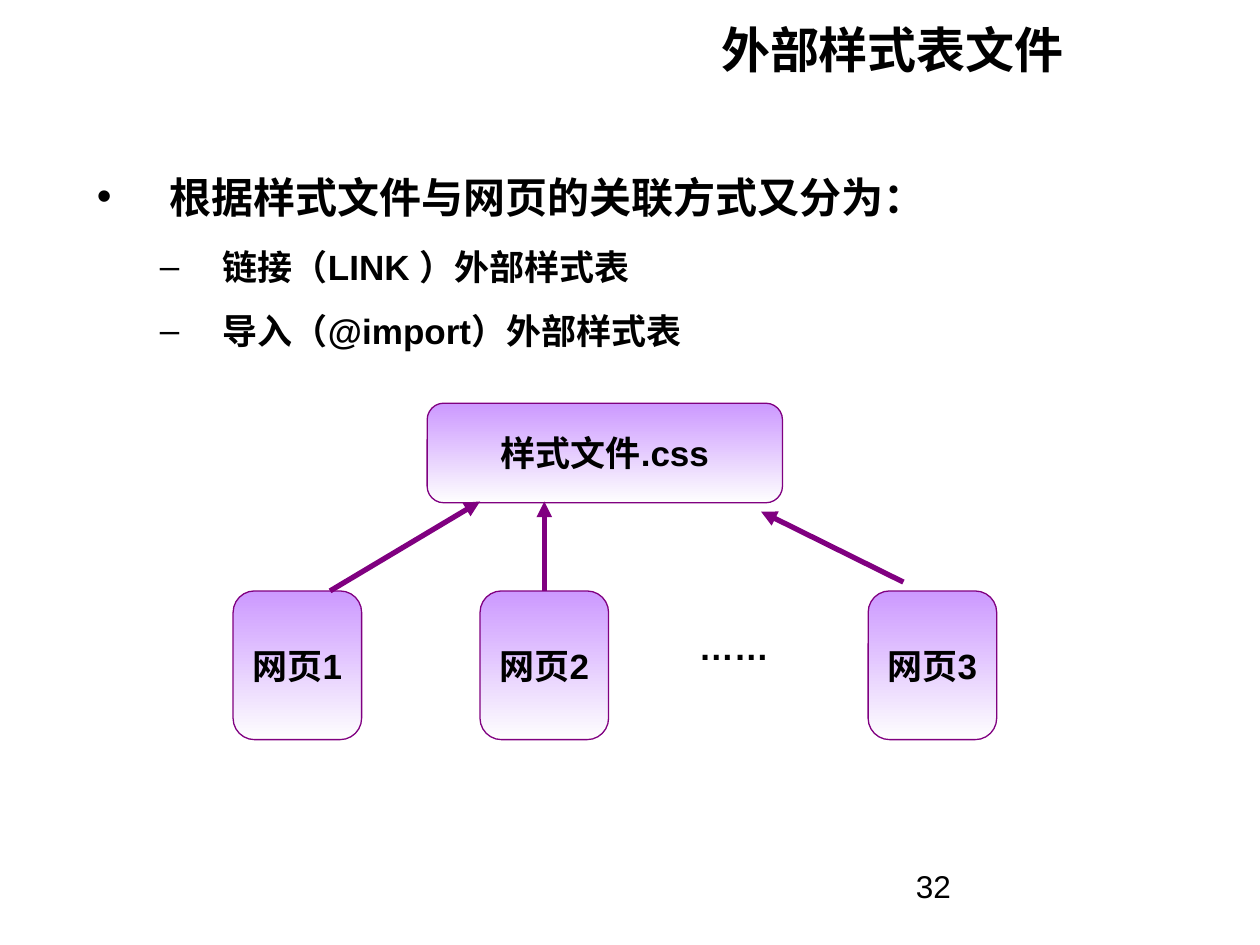
from dataclasses import dataclass
from typing import NamedTuple, Optional

from pptx import Presentation
from pptx.dml.color import RGBColor
from pptx.enum.shapes import MSO_CONNECTOR as Conn, MSO_SHAPE as Shape
from pptx.enum.text import MSO_ANCHOR as Anchor, PP_ALIGN as Align
from pptx.oxml.ns import qn
from pptx.util import Inches, Pt
from lxml.etree import SubElement


@dataclass(frozen=True)
class Theme:
    font: str = "Arial"
    ink: RGBColor = RGBColor(0, 0, 0)
    edge: RGBColor = RGBColor(0x80, 0, 0x80)
    top: RGBColor = RGBColor(0xCC, 0x99, 0xFF)
    base: RGBColor = RGBColor(0xFE, 0xFE, 0xFE)
    title: int = 28
    head: int = 24
    body: int = 20
    num: int = 18
    thin: float = 0.75
    thick: float = 3


class Box(NamedTuple):
    left: float
    top: float
    width: float
    height: float


class Item(NamedTuple):
    text: str
    mark: str
    size: int
    left: float
    hang: float
    gap: float


class Card(NamedTuple):
    text: str
    box: Box
    filled: bool = True


class Arrow(NamedTuple):
    start: tuple
    end: tuple
    source: Optional[str] = None


T = Theme()
PAGE_TOP, PAGE_W, PAGE_H = 4.69, 1.02, 1.18
PAGE_LEFTS = (1.85, 3.81, 6.89)
MID = PAGE_LEFTS[1] + PAGE_W / 2

ITEMS = (
    Item("根据样式文件与网页的关联方式又分为：", "•", T.head, 0.58, 0.58, 7.5),
    Item("链接（LINK ）外部样式表", "–", T.body, 1, 0.5, 6.2),
    Item("导入（@import）外部样式表", "–", T.body, 1, 0.5, 6.2),
)
CARDS = (
    Card("样式文件.css", Box(3.39, 3.2, 2.82, 0.79)),
    *(Card(f"网页{n}", Box(x, PAGE_TOP, PAGE_W, PAGE_H))
      for n, x in enumerate(PAGE_LEFTS, 1)),
    Card("……", Box(5.27, 4.85, 1.11, 0.57), False),
)
ARROWS = (
    Arrow((2.62, PAGE_TOP), (3.81, 3.98)),
    Arrow((7.17, 4.62), (6.04, 4.06)),
    Arrow((MID, PAGE_TOP), (MID, 3.98), "网页2"),
)


def place(box: Box) -> tuple:
    return tuple(Inches(v) for v in box)


def add_run(para, text: str, size: int, bold: bool = True) -> None:
    run = para.add_run()
    run.text = text
    font = run.font
    font.name, font.size, font.bold = T.font, Pt(size), bold
    font.color.rgb = T.ink


def add_text(slide, box: Box):
    frame = slide.shapes.add_textbox(*place(box)).text_frame
    frame.word_wrap = True
    return frame


def add_item(para, item: Item, first: bool) -> None:
    props = para._p.get_or_add_pPr()
    props.set("marL", str(Inches(item.left)))
    props.set("indent", str(-Inches(item.hang)))
    para.space_before = Pt(0 if first else item.gap)
    para.space_after = Pt(item.gap)
    SubElement(props, qn("a:buFont")).set("typeface", T.font)
    SubElement(props, qn("a:buChar")).set("char", item.mark)
    add_run(para, item.text, item.size)


def add_card(slide, card: Card):
    shape = slide.shapes.add_shape(Shape.ROUNDED_RECTANGLE, *place(card.box))
    shape.shadow.inherit = False
    if card.filled:
        shape.fill.gradient()
        shape.fill.gradient_angle = 270
        for stop, tint in zip(shape.fill.gradient_stops, (T.top, T.base)):
            stop.color.rgb = tint
        shape.line.color.rgb = T.edge
        shape.line.width = Pt(T.thin)
    else:
        shape.fill.background()
        shape.line.fill.background()
    frame = shape.text_frame
    frame.word_wrap = True
    frame.vertical_anchor = Anchor.MIDDLE
    para = frame.paragraphs[0]
    para.alignment = Align.CENTER
    add_run(para, card.text, T.body)
    return shape


def add_arrow(slide, arrow: Arrow, cards: dict) -> None:
    ends = (Inches(v) for v in (*arrow.start, *arrow.end))
    line = slide.shapes.add_connector(Conn.STRAIGHT, *ends)
    if arrow.source:
        line.begin_connect(cards[arrow.source], 0)
    line.line.color.rgb = T.edge
    line.line.width = Pt(T.thick)
    SubElement(line.line._get_or_add_ln(), qn("a:tailEnd")).set("type", "triangle")
    SubElement(line._element.spPr, qn("a:effectLst"))


def main() -> None:
    deck = Presentation()
    deck.slide_width, deck.slide_height = Inches(10), Inches(7.5)
    slide = deck.slides.add_slide(deck.slide_layouts[6])

    # Title
    frame = add_text(slide, Box(-0.2, -0.22, 8.74, 1.21))
    frame.vertical_anchor = Anchor.MIDDLE
    frame.paragraphs[0].alignment = Align.RIGHT
    add_run(frame.paragraphs[0], "外部样式表文件", T.title)

    # Bullet list
    frame = add_text(slide, Box(0.67, 1.31, 8.83, 5.39))
    for i, item in enumerate(ITEMS):
        para = frame.add_paragraph() if i else frame.paragraphs[0]
        add_item(para, item, i == 0)

    # Style file, pages and arrows
    cards = {card.text: add_card(slide, card) for card in CARDS}
    for arrow in ARROWS:
        add_arrow(slide, arrow, cards)

    # Page number
    frame = add_text(slide, Box(7.17, 6.83, 2.33, 0.52))
    add_run(frame.paragraphs[0], "32", T.num, False)

    deck.save("out.pptx")


if __name__ == "__main__":
    main()
